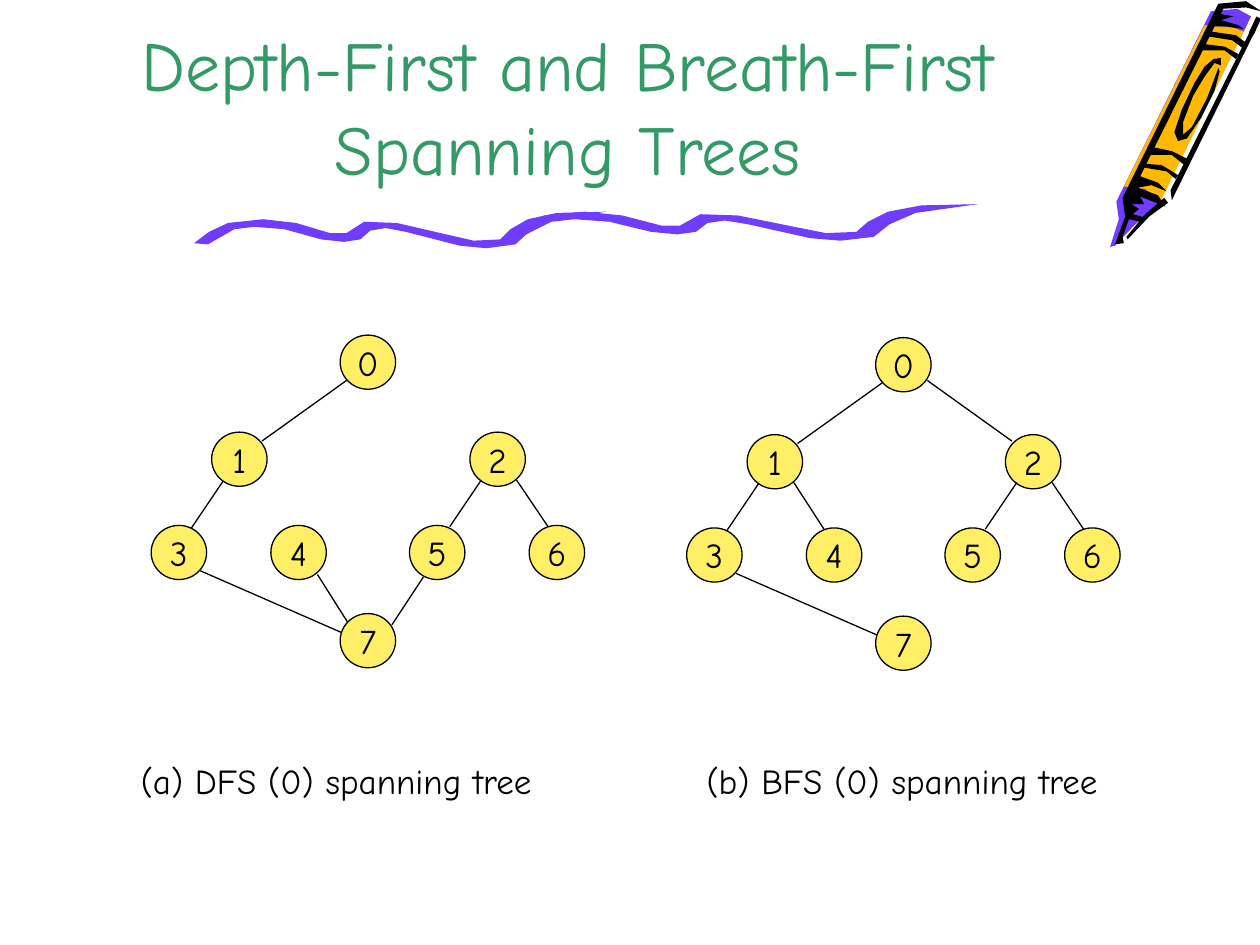
from lxml import etree
from pptx import Presentation
from pptx import util as u
from pptx.dml.color import RGBColor
from pptx.enum import shapes, text
from pptx.oxml.ns import qn

COLORS = {"title": "339966", "ink": "000000", "node": "FFEF66",
          "purple": "703DFF", "orange": "FFB800"}

NODE_WIDTH, NODE_HEIGHT = 0.44, 0.43
NODES = {"0": (2.7, 2.66), "1": (1.68, 3.43), "2": (3.73, 3.43),
         "3": (1.2, 4.17), "4": (2.15, 4.17), "5": (3.25, 4.17),
         "6": (4.2, 4.17), "7": (2.7, 4.87)}
EDGES = {"01": (2.75, 3.02, 2.08, 3.5), "02": (3.11, 3, 3.78, 3.48),
         "13": (1.77, 3.82, 1.52, 4.19), "14": (2.05, 3.81, 2.29, 4.18),
         "25": (3.82, 3.81, 3.57, 4.18), "26": (4.1, 3.81, 4.35, 4.18),
         "37": (1.59, 4.53, 2.71, 5.02), "47": (2.52, 4.56, 2.76, 4.94),
         "57": (3.36, 4.58, 3.11, 4.96)}
TREES = [
    ("(a) DFS (0) spanning tree", 1.02, (0, 0), ["01", "13", "25", "26", "37", "47", "57"]),
    ("(b) BFS (0) spanning tree", 5.51, (4.25, 0.02), ["01", "02", "13", "14", "25", "26", "37"]),
]

CRAYON = [
    ("purple", [(9.93, 0.13), (9.17, 1.66), (9.01, 1.78), (8.85, 1.95), (8.81, 1.96),
                (8.88, 1.74), (8.86, 1.6), (9.61, 0.09), (9.82, 0.07)]),
    ("orange", [(9.21, 1.6), (9.09, 1.5), (8.92, 1.48), (9.56, 0.2), (9.79, 0.22),
                (9.87, 0.25)]),
    ("ink", [(9.27, 1.61), (9.12, 1.72), (8.95, 1.9), (8.94, 1.88), (9.09, 1.7),
             (9.24, 1.57)]),
    ("ink", [(9.87, 0.23), (9.73, 0.21), (9.61, 0.21), (9.68, 0.11), (9.79, 0.13),
             (9.69, 0.16), (9.83, 0.2)]),
    ("ink", [(9.68, 0.57), (9.64, 0.72), (9.53, 0.94), (9.42, 1.1), (9.35, 1.12),
             (9.32, 1.05), (9.38, 0.87), (9.48, 0.66), (9.56, 0.53), (9.63, 0.47),
             (9.69, 0.46), (9.69, 0.52), (9.64, 0.5), (9.56, 0.61), (9.47, 0.76),
             (9.39, 0.97), (9.39, 1.07), (9.46, 1.01), (9.58, 0.78), (9.67, 0.54)]),
    ("ink", [(9.97, 0.23), (9.3, 1.59), (9.29, 1.51), (9.93, 0.23)]),
    ("ink", [(9.25, 1.64), (9.19, 1.55), (9.03, 1.49), (9.14, 1.47), (9.26, 1.52),
             (9.19, 1.45), (9.05, 1.4), (9.71, 0.07), (9.89, 0.06), (10.01, 0.09),
             (9.89, 0.01), (9.67, 0.03), (8.91, 1.57), (8.93, 1.72), (8.85, 1.94),
             (8.92, 1.93), (8.91, 1.88), (8.96, 1.74), (9.05, 1.76), (9.1, 1.73),
             (8.99, 1.7), (9.04, 1.66), (8.98, 1.62), (9.08, 1.62), (9.05, 1.56)]),
    ("ink", [(9.33, 1.42), (9.26, 1.36), (9.08, 1.33), (9.09, 1.3), (9.22, 1.31),
             (9.35, 1.39)]),
    ("ink", [(9.4, 1.31), (9.3, 1.23), (9.13, 1.23), (9.16, 1.17), (9.3, 1.2),
             (9.42, 1.26)]),
    ("ink", [(9.81, 0.47), (9.72, 0.4), (9.53, 0.4), (9.56, 0.35), (9.72, 0.37),
             (9.83, 0.43)]),
    ("ink", [(9.86, 0.38), (9.78, 0.32), (9.59, 0.29), (9.61, 0.25), (9.81, 0.28),
             (9.89, 0.34)]),
]
WAVE = [(1.65, 1.94), (1.86, 1.82), (2.02, 1.8), (2.26, 1.82), (2.55, 1.9), (2.73, 1.92),
        (2.86, 1.9), (2.94, 1.83), (3.06, 1.81), (3.22, 1.84), (3.65, 1.95), (3.86, 1.97),
        (4.09, 1.94), (4.2, 1.84), (4.38, 1.75), (4.81, 1.68), (4.42, 1.69), (4.19, 1.74),
        (4.05, 1.82), (3.97, 1.9), (3.76, 1.91), (3.54, 1.86), (3.15, 1.77), (2.89, 1.76),
        (2.75, 1.85), (2.62, 1.85), (2.35, 1.77), (2.09, 1.74), (1.81, 1.77), (1.66, 1.84),
        (1.54, 1.93)]
WAVE_LEFT, WAVE_RIGHT = 1.54, 4.81
SECOND_LEFT, SECOND_RIGHT, SECOND_RISE = 4.01, 7.76, 0.06


def color(name):
    return RGBColor.from_string(COLORS[name])


def write_text(shape, content, size=20, fill="ink", font="Comic Neue", align=text.PP_ALIGN.LEFT,
               anchor=text.MSO_ANCHOR.TOP, wrap=True):
    frame = shape.text_frame
    frame.word_wrap = wrap
    frame.vertical_anchor = anchor
    paragraph = frame.paragraphs[0]
    paragraph.alignment = align
    run = paragraph.add_run()
    run.text = content
    run.font.name = font
    run.font.size = u.Pt(size)
    run.font.color.rgb = color(fill)


class SlideBuilder:
    line_width = 0.75

    def __init__(self, presentation):
        self.slide = presentation.slides.add_slide(presentation.slide_layouts[6])

    def text_box(self, content, left, top, width, height, **style):
        box = self.slide.shapes.add_textbox(
            u.Inches(left), u.Inches(top), u.Inches(width), u.Inches(height))
        write_text(box, content, **style)

    def outline(self, points, fill):
        corners = [(u.Inches(x), u.Inches(y)) for x, y in points]
        builder = self.slide.shapes.build_freeform(*corners[0])
        builder.add_line_segments(corners[1:], close=True)
        shape = builder.convert_to_shape()
        shape.shadow.inherit = False
        shape.fill.solid()
        shape.fill.fore_color.rgb = color(fill)
        shape.line.fill.background()

    def line(self, start_x, start_y, end_x, end_y, width=line_width):
        connector = self.slide.shapes.add_connector(
            shapes.MSO_CONNECTOR.STRAIGHT, u.Inches(start_x), u.Inches(start_y),
            u.Inches(end_x), u.Inches(end_y))
        connector.line.color.rgb = color("ink")
        connector.line.width = u.Pt(width)
        etree.SubElement(connector._element.spPr, qn("a:effectLst"))

    def node(self, label, left, top):
        shape = self.slide.shapes.add_shape(
            shapes.MSO_SHAPE.OVAL, u.Inches(left), u.Inches(top),
            u.Inches(NODE_WIDTH), u.Inches(NODE_HEIGHT))
        shape.shadow.inherit = False
        shape.fill.solid()
        shape.fill.fore_color.rgb = color("node")
        shape.line.color.rgb = color("ink")
        shape.line.width = u.Pt(self.line_width)
        write_text(shape, label, align=text.PP_ALIGN.CENTER,
                   anchor=text.MSO_ANCHOR.MIDDLE, wrap=False)

    def tree(self, edges, shift_x, shift_y):
        for label, (left, top) in NODES.items():
            self.node(label, left + shift_x, top + shift_y)
        for edge in edges:
            start_x, start_y, end_x, end_y = EDGES[edge]
            self.line(start_x + shift_x, start_y + shift_y, end_x + shift_x, end_y + shift_y)


def main():
    presentation = Presentation()
    presentation.slide_width = u.Inches(10)
    presentation.slide_height = u.Inches(7.5)
    builder = SlideBuilder(presentation)

    for fill, points in CRAYON:
        builder.outline(points, fill)
    builder.line(9.99, 0.14, 9.93, 0.27, width=3)

    stretch = (SECOND_RIGHT - SECOND_LEFT) / (WAVE_RIGHT - WAVE_LEFT)
    builder.outline(WAVE, "purple")
    builder.outline([(SECOND_LEFT + (x - WAVE_LEFT) * stretch, y - SECOND_RISE)
                     for x, y in WAVE], "purple")

    builder.text_box("Depth-First and Breath-First Spanning Trees", 0.75, 0, 7.51, 1.55,
                     size=40, fill="title", align=text.PP_ALIGN.CENTER,
                     anchor=text.MSO_ANCHOR.BOTTOM)
    for caption, left, shift, edges in TREES:
        builder.tree(edges, *shift)
        builder.text_box(caption, left, 5.98, 3.67, 0.44)

    presentation.save("out.pptx")


if __name__ == "__main__":
    main()
